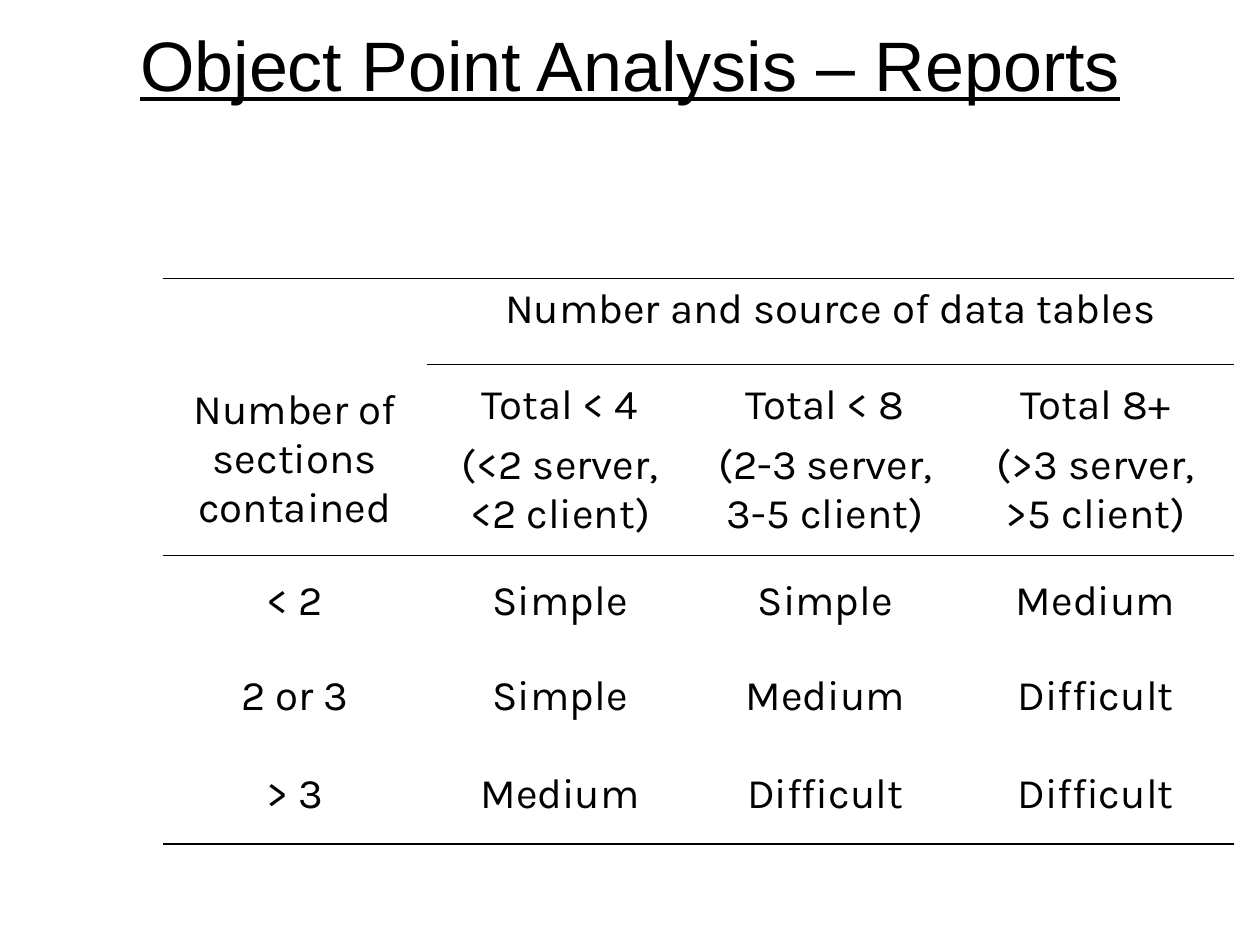
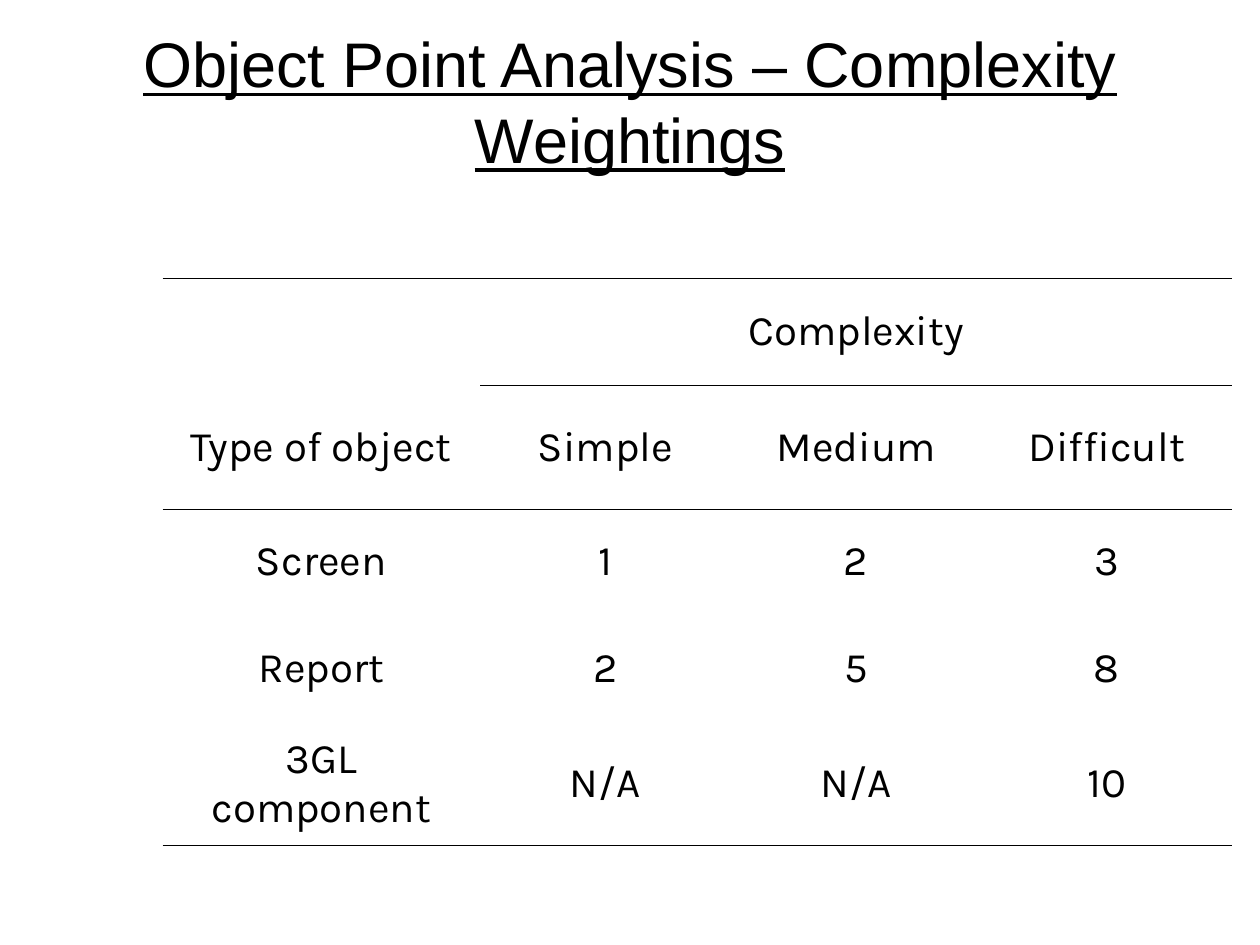
from lxml.etree import SubElement
from pptx import Presentation
from pptx.dml.color import RGBColor
from pptx.enum.text import MSO_ANCHOR, PP_ALIGN
from pptx.oxml.ns import qn
from pptx.util import Inches, Pt

# Content: the first entry of each heading row and body row is the row label
SLIDES = [
    {
        "title": "Object Point Analysis – Reports",
        "title_top": 0.09,
        "title_size": 40,
        "group": "Number and source of data tables",
        "group_anchor": MSO_ANCHOR.TOP,
        "rows": [
            ("Number of sections contained",
             "Total < 4\n(<2 server, <2 client)",
             "Total < 8\n(2-3 server, 3-5 client)",
             "Total 8+\n(>3 server, >5 client)"),
            ("< 2", "Simple", "Simple", "Medium"),
            ("2 or 3", "Simple", "Medium", "Difficult"),
            ("> 3", "Medium", "Difficult", "Difficult"),
        ],
        "widths": (2.1, 2.11, 2.1, 2.19),
        "heights": (0.68, 1.52, 0.73, 0.78, 0.78),
    },
    {
        "title": "Object Point Analysis – Complexity Weightings",
        "title_top": 0.38,
        "title_size": 36,
        "group": "Complexity",
        "group_anchor": MSO_ANCHOR.MIDDLE,
        "rows": [
            ("Type of object", "Simple", "Medium", "Difficult"),
            ("Screen", "1", "2", "3"),
            ("Report", "2", "5", "8"),
            ("3GL component", "N/A", "N/A", "10"),
        ],
        "widths": (2.52, 1.99, 1.99, 1.99),
        "heights": (0.85, 0.98, 0.84, 0.85, 0.98),
    },
]

# Shared style
COLORS = {"text": "000000", "rule": "000000"}
TITLE_FONT, TABLE_FONT, TABLE_SIZE = "Arial", "Karla", 24
OUTER_RULE, INNER_RULE = 1.08, 0.45
TABLE_LEFT, TABLE_TOP = 1.29, 2.21
PLAIN_TABLE_STYLE = "{2D5ABB26-0587-4C30-8999-92F81FD0307C}"


def write(frame, text, font_name, size, underline=None):
    """Fill a text frame with centred paragraphs, one per line of text."""
    frame.text = text
    for index, paragraph in enumerate(frame.paragraphs):
        paragraph.alignment = PP_ALIGN.CENTER
        if index:
            paragraph.space_before = Pt(6)
        font = paragraph.font
        font.name, font.size, font.underline = font_name, Pt(size), underline
        font.color.rgb = RGBColor.from_string(COLORS["text"])


def add_rule(cell, side, points):
    line = SubElement(cell._tc.get_or_add_tcPr(), qn(f"a:{side}"), w=str(Pt(points)))
    fill = SubElement(line, qn("a:solidFill"))
    SubElement(fill, qn("a:srgbClr"), val=COLORS["rule"])


def rule_cell(cell, row, column, last_row):
    """Thick rules close the table; thin ones set off the headings."""
    if row == 0:
        add_rule(cell, "lnT", OUTER_RULE)
    elif row == 1 and column > 0:
        add_rule(cell, "lnT", INNER_RULE)
    if row == last_row:
        add_rule(cell, "lnB", OUTER_RULE)
    elif row == 1 or (row == 0 and column > 0):
        add_rule(cell, "lnB", INNER_RULE)


def add_title(slide, content):
    box = slide.shapes.add_textbox(
        Inches(0.5), Inches(content["title_top"]), Inches(9), Inches(0.83))
    box.text_frame.word_wrap = True
    box.text_frame.vertical_anchor = MSO_ANCHOR.MIDDLE
    write(box.text_frame, content["title"], TITLE_FONT, content["title_size"], True)


def add_weight_table(slide, content):
    widths, heights = content["widths"], content["heights"]
    table = slide.shapes.add_table(
        len(heights), len(widths), Inches(TABLE_LEFT), Inches(TABLE_TOP),
        Inches(sum(widths)), Inches(sum(heights))).table
    table.first_row = table.horz_banding = False
    table._tbl.tblPr.find(qn("a:tableStyleId")).text = PLAIN_TABLE_STYLE
    for column, width in zip(table.columns, widths):
        column.width = Inches(width)
    for row, height in zip(table.rows, heights):
        row.height = Inches(height)

    # Group heading spans every column but the label column
    table.cell(0, 1).merge(table.cell(0, len(widths) - 1))
    grid = [("", content["group"], "", "")] + content["rows"]
    for r, row_texts in enumerate(grid):
        for c, text in enumerate(row_texts):
            cell = table.cell(r, c)
            cell.vertical_anchor = MSO_ANCHOR.MIDDLE if r else content["group_anchor"]
            if text:
                write(cell.text_frame, text, TABLE_FONT, TABLE_SIZE)
            rule_cell(cell, r, c, len(grid) - 1)
            cell.fill.background()


def main():
    deck = Presentation()
    deck.slide_width, deck.slide_height = Inches(10), Inches(7.5)
    for content in SLIDES:
        slide = deck.slides.add_slide(deck.slide_layouts[6])
        add_title(slide, content)
        add_weight_table(slide, content)
    deck.save("out.pptx")


if __name__ == "__main__":
    main()
